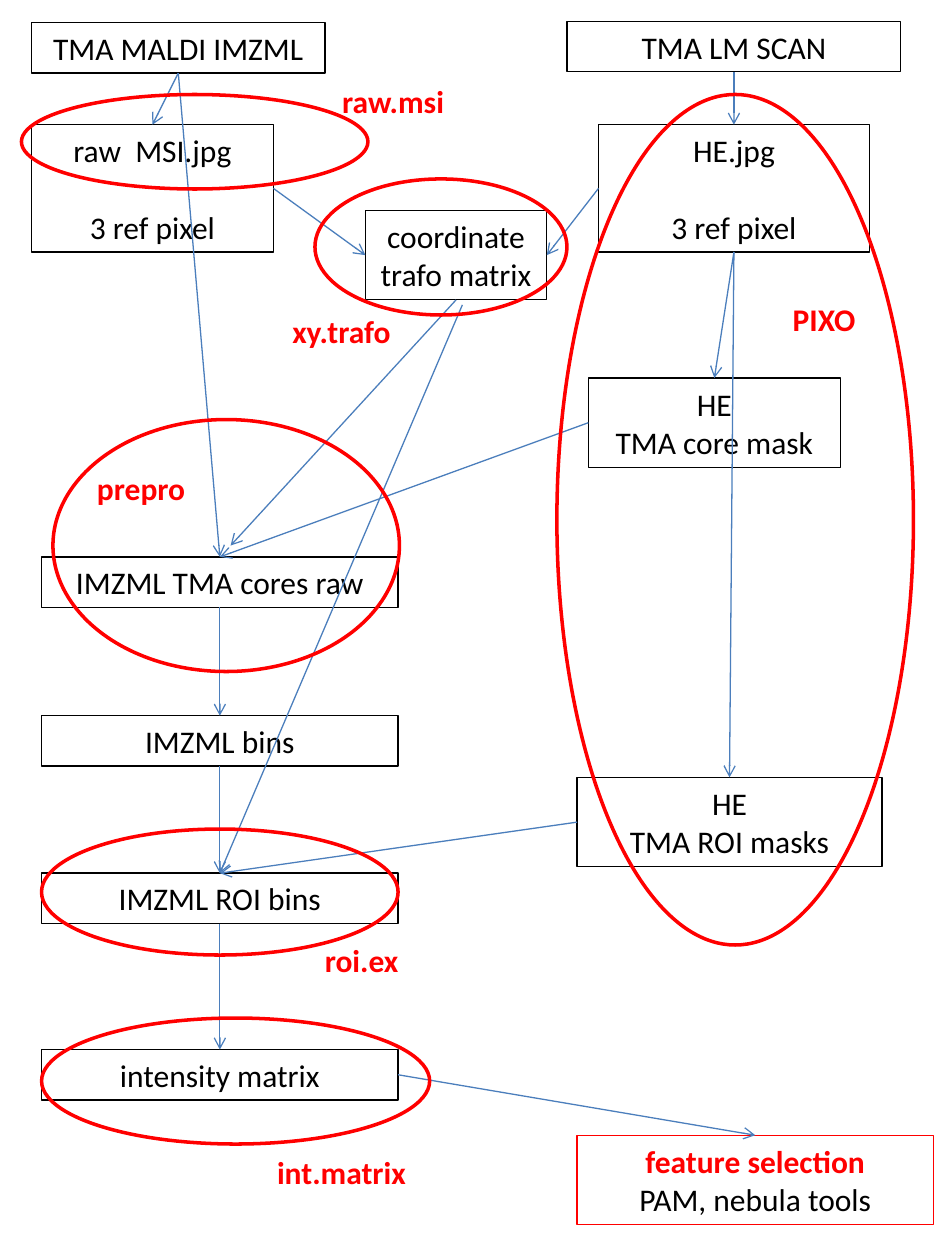
from dataclasses import dataclass
from typing import Optional, Union

from lxml import etree
from pptx import Presentation
from pptx import util as u
from pptx.dml.color import RGBColor
from pptx.enum import shapes, text
from pptx.oxml import ns

BLACK, RED, BLUE = "000000", "FF0000", "4B7EBC"
TOP, LEFT, BOTTOM, RIGHT = range(4)
ONE_LINE, TWO_LINES, BLANK_LINE = 0.4, 0.71, 22
COLUMN_LEFT, COLUMN_WIDTH = 0.33, 2.83
LABEL_WIDTH = 1.58


@dataclass
class Box:
    name: str
    left: float
    top: float
    width: float
    height: float
    content: str
    line: str = BLACK
    gap: float = 0  # points between the paragraphs


@dataclass
class Anchor:
    box: str
    side: int


@dataclass
class Point:
    x: float
    y: float


@dataclass
class Arrow:
    start: Union[Anchor, Point]
    end: Union[Anchor, Point]


@dataclass
class Stage:
    """A red ellipse around the boxes handled by one tool, with its label."""
    left: float
    top: float
    width: float
    height: float
    label: str
    label_left: float
    label_top: float


def column_box(name: str, top: float, content: str) -> Box:
    return Box(name, COLUMN_LEFT, top, COLUMN_WIDTH, ONE_LINE, content)


BOXES = [
    Box("msi", 0.25, 0.99, 1.92, 1.01, "raw  MSI.jpg\n3 ref pixel", gap=BLANK_LINE),
    Box("he", 4.75, 0.99, 2.15, 1.01, "HE.jpg\n3 ref pixel", gap=BLANK_LINE),
    Box("trafo", 2.9, 1.67, 1.44, TWO_LINES, "coordinate trafo matrix"),
    Box("core mask", 4.67, 3, 2, TWO_LINES, "HE\nTMA core mask"),
    column_box("cores", 4.42, "IMZML TMA cores raw"),
    Box("scan", 4.5, 0.17, 2.65, ONE_LINE, "TMA LM SCAN"),
    Box("maldi", 0.25, 0.18, 2.33, ONE_LINE, "TMA MALDI IMZML"),
    column_box("bins", 5.68, "IMZML bins"),
    Box("roi masks", 4.58, 6.17, 2.42, TWO_LINES, "HE\nTMA ROI masks"),
    column_box("roi bins", 6.93, "IMZML ROI bins"),
    column_box("intensity", 8.33, "intensity matrix"),
    Box("features", 4.58, 9.01, 2.83, TWO_LINES,
        "feature selection\nPAM, nebula tools", line=RED),
]

ARROWS = [
    Arrow(Anchor("maldi", BOTTOM), Anchor("msi", TOP)),
    Arrow(Anchor("scan", BOTTOM), Anchor("he", TOP)),
    Arrow(Anchor("he", BOTTOM), Anchor("core mask", TOP)),
    Arrow(Anchor("he", LEFT), Anchor("trafo", RIGHT)),
    Arrow(Anchor("msi", RIGHT), Anchor("trafo", LEFT)),
    Arrow(Anchor("maldi", BOTTOM), Anchor("cores", TOP)),
    Arrow(Anchor("cores", BOTTOM), Anchor("bins", TOP)),
    Arrow(Anchor("bins", BOTTOM), Anchor("roi bins", TOP)),
    Arrow(Anchor("he", BOTTOM), Anchor("roi masks", TOP)),
    Arrow(Anchor("core mask", LEFT), Anchor("cores", TOP)),
    Arrow(Anchor("trafo", BOTTOM), Point(1.83, 4.33)),
    Arrow(Anchor("roi masks", LEFT), Anchor("roi bins", TOP)),
    Arrow(Anchor("roi bins", BOTTOM), Anchor("intensity", TOP)),
    Arrow(Anchor("intensity", RIGHT), Anchor("features", TOP)),
    Arrow(Point(3.67, 2.42), Anchor("roi bins", TOP)),
]

STAGES = [
    Stage(0.17, 0.75, 2.75, 0.75, "raw.msi", 2.33, 0.6),
    Stage(4.42, 0.75, 2.83, 6.75, "PIXO", 5.75, 2.33),
    Stage(0.42, 3.33, 2.75, 2, "prepro", 0.33, 3.67),
    Stage(0.33, 6.58, 2.83, 1, "roi.ex", 2.08, 7.42),
    Stage(2.5, 1.42, 2, 1.08, "xy.trafo", 1.92, 2.43),
    Stage(0.33, 8.08, 3.08, 1, "int.matrix", 1.92, 9.1),
]


def color(value: str) -> RGBColor:
    return RGBColor.from_string(value)


def write_text(shape, content: str, first_color: str, gap: float = 0) -> None:
    """Centre the text; a red first paragraph is bold."""
    frame = shape.text_frame
    frame.text = content
    frame.word_wrap = True
    frame.auto_size = text.MSO_AUTO_SIZE.SHAPE_TO_FIT_TEXT
    for index, paragraph in enumerate(frame.paragraphs):
        paragraph.alignment = text.PP_ALIGN.CENTER
        if index and gap:
            paragraph.space_before = u.Pt(gap)
        paragraph_color = BLACK if index else first_color
        for run in paragraph.runs:
            run.font.name = "Calibri"
            run.font.size = u.Pt(18)
            run.font.bold = paragraph_color == RED
            run.font.color.rgb = color(paragraph_color)


def add_outline(slide, kind, item: Union[Box, Stage], line: str, weight: float):
    shape = slide.shapes.add_shape(
        kind, u.Inches(item.left), u.Inches(item.top),
        u.Inches(item.width), u.Inches(item.height))
    shape.shadow.inherit = False
    shape.fill.background()
    shape.line.color.rgb = color(line)
    shape.line.width = u.Pt(weight)
    return shape


def add_box(slide, box: Box):
    shape = add_outline(slide, shapes.MSO_SHAPE.RECTANGLE, box, box.line, 0.75)
    write_text(shape, box.content, box.line, box.gap)
    return shape


def add_arrow(slide, arrow: Arrow, box_shapes: dict) -> None:
    def position(end: Union[Anchor, Point]) -> tuple:
        return (u.Inches(end.x), u.Inches(end.y)) if isinstance(end, Point) else (0, 0)

    connector = slide.shapes.add_connector(
        shapes.MSO_CONNECTOR.STRAIGHT, *position(arrow.start), *position(arrow.end))
    if isinstance(arrow.start, Anchor):
        connector.begin_connect(box_shapes[arrow.start.box], arrow.start.side)
    if isinstance(arrow.end, Anchor):
        connector.end_connect(box_shapes[arrow.end.box], arrow.end.side)
    connector.line.color.rgb = color(BLUE)
    connector.line.width = u.Pt(0.75)
    properties = connector.element.spPr
    etree.SubElement(properties.find(ns.qn("a:ln")), ns.qn("a:tailEnd"), type="arrow")
    etree.SubElement(properties, ns.qn("a:effectLst"))


def add_stage(slide, stage: Stage) -> None:
    add_outline(slide, shapes.MSO_SHAPE.OVAL, stage, RED, 2)
    label = slide.shapes.add_textbox(
        u.Inches(stage.label_left), u.Inches(stage.label_top),
        u.Inches(LABEL_WIDTH), u.Inches(ONE_LINE))
    write_text(label, stage.label, RED)


def main() -> None:
    presentation = Presentation()
    presentation.slide_width = u.Inches(7.5)
    presentation.slide_height = u.Inches(10)
    slide = presentation.slides.add_slide(presentation.slide_layouts[6])

    # Data and result boxes
    box_shapes = {box.name: add_box(slide, box) for box in BOXES}
    # Flow between the boxes
    for arrow in ARROWS:
        add_arrow(slide, arrow, box_shapes)
    # Tools that cover each stage
    for stage in STAGES:
        add_stage(slide, stage)

    presentation.save("out.pptx")


if __name__ == "__main__":
    main()
